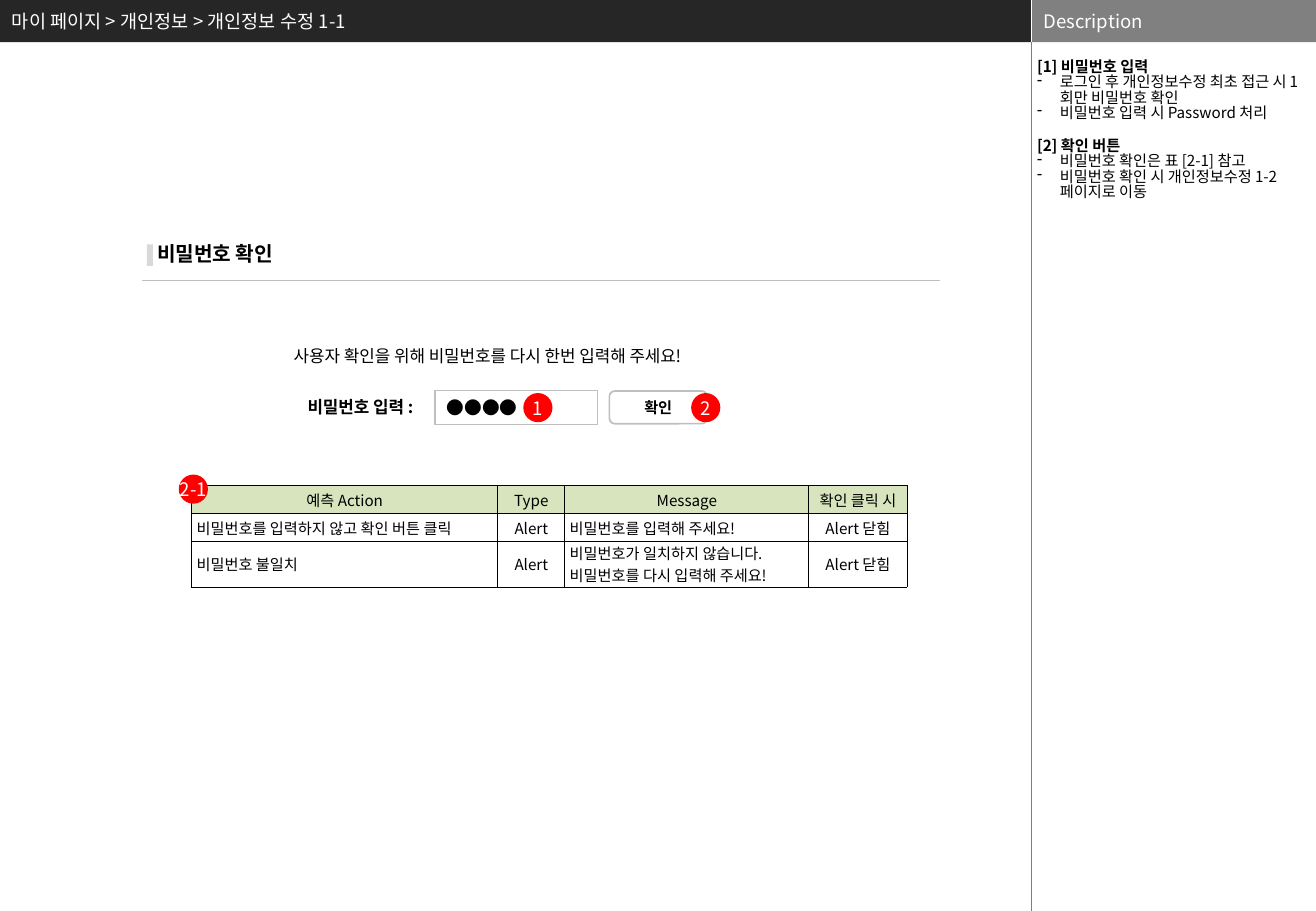
from dataclasses import dataclass

from lxml import etree
from pptx import Presentation
from pptx import util as u
from pptx.dml.color import RGBColor
from pptx.enum import shapes, text
from pptx.oxml.ns import qn

LEFT, CENTER = text.PP_ALIGN.LEFT, text.PP_ALIGN.CENTER
TOP, MIDDLE = text.MSO_ANCHOR.TOP, text.MSO_ANCHOR.MIDDLE
SHAPE = shapes.MSO_SHAPE


@dataclass(frozen=True)
class Theme:
    font: str = "Noto Sans CJK KR"
    ink: str = "000000"
    paper: str = "FFFFFF"
    title_bar: str = "262626"
    panel_bar: str = "808080"
    panel_rule: str = "7F7F7F"
    border: str = "BFBFBF"
    accent: str = "D9D9D9"
    badge: str = "FF0000"
    table_head: str = "D7E4BD"
    small: float = 9
    body: float = 10
    dots: float = 10.5
    bar: float = 11
    heading: float = 12


class Wireframe:
    def __init__(self, slide, theme):
        self.slide, self.theme = slide, theme

    def add_words(self, paragraph, parts, size, color=None, bold=False, align=LEFT):
        """Add each part as a run, with the same font for Latin and Korean."""
        paragraph.alignment = align
        for part in parts:
            run = paragraph.add_run()
            run.text = part
            run.font.color.rgb = RGBColor.from_string(color or self.theme.ink)
            for key, value in {"size": u.Pt(size), "bold": bold, "name": self.theme.font}.items():
                setattr(run.font, key, value)
            east_asian = etree.SubElement(run._r.get_or_add_rPr(), qn("a:ea"))
            east_asian.set("typeface", self.theme.font)

    def frame(self, owner, anchor=MIDDLE, wrap=True, insets=(7.2, 3.6, 7.2, 3.6)):
        left, top, right, bottom = map(u.Pt, insets)
        settings = {"word_wrap": wrap, "vertical_anchor": anchor, "margin_left": left,
                    "margin_top": top, "margin_right": right, "margin_bottom": bottom}
        for key, value in settings.items():
            setattr(owner.text_frame, key, value)
        return owner.text_frame

    def box(self, kind, bounds, fill, border=None, weight=0.75):
        shape = self.slide.shapes.add_shape(kind, *map(u.Pt, bounds))
        shape.shadow.inherit = False
        shape.fill.solid()
        shape.fill.fore_color.rgb = RGBColor.from_string(fill)
        if border:
            shape.line.color.rgb = RGBColor.from_string(border)
            shape.line.width = u.Pt(weight)
        else:
            shape.line.fill.background()
        return shape

    def bar(self, bounds, fill, title):
        bar = self.box(SHAPE.RECTANGLE, bounds, fill)
        self.add_words(self.frame(bar).paragraphs[0], [title], self.theme.bar, self.theme.paper)

    def rule(self, ends, color, weight):
        line = self.slide.shapes.add_connector(shapes.MSO_CONNECTOR.STRAIGHT, *map(u.Pt, ends))
        line.line.color.rgb = RGBColor.from_string(color)
        line.line.width = u.Pt(weight)
        etree.SubElement(line._element.spPr, qn("a:effectLst"))

    def label(self, bounds, words, size, bold=False):
        label = self.slide.shapes.add_textbox(*map(u.Pt, bounds))
        self.add_words(self.frame(label, TOP).paragraphs[0], [words], size, bold=bold)

    def badge(self, left, top, parts):
        badge = self.box(SHAPE.OVAL, (left, top, 17.3, 17.3), self.theme.badge)
        paragraph = self.frame(badge, wrap=False, insets=(0, 0, 0, 0)).paragraphs[0]
        self.add_words(paragraph, parts, self.theme.bar, self.theme.paper, align=CENTER)
        for run in paragraph.runs:
            if run.text == "-":
                run._r.get_or_add_rPr().set("spc", "-150")

    def description(self, bounds, sections):
        panel = self.slide.shapes.add_textbox(*map(u.Pt, bounds))
        body = self.frame(panel, TOP, insets=(2.9, 0, 2.9, 0))
        for number, (heading, notes) in enumerate(sections):
            title = body.add_paragraph() if number else body.paragraphs[0]
            title.line_spacing = 0.83
            if number:
                title.space_before = u.Pt(10.8)
            self.add_words(title, [heading], self.theme.small, bold=True)
            for note in notes:
                item = body.add_paragraph()
                item.line_spacing = 0.83
                properties = item._p.get_or_add_pPr()
                properties.set("marL", str(u.Pt(13.5)))
                properties.set("indent", str(-u.Pt(13.5)))
                etree.SubElement(properties, qn("a:buChar")).set("char", "-")
                self.add_words(item, [note], self.theme.small)

    def cell_borders(self, cell):
        properties = cell._tc.get_or_add_tcPr()
        for position, side in enumerate(("lnL", "lnR", "lnT", "lnB")):
            edge = etree.Element(qn(f"a:{side}"), w=str(u.Pt(0.5)))
            fill = etree.SubElement(edge, qn("a:solidFill"))
            etree.SubElement(fill, qn("a:srgbClr")).set("val", self.theme.ink)
            properties.insert(position, edge)

    def table(self, left, top, widths, heights, rows, aligns):
        """Build a bordered grid; aligns holds the body alignment of each column."""
        bounds = (left, top, sum(widths), sum(heights))
        table = self.slide.shapes.add_table(len(rows), len(widths), *map(u.Pt, bounds)).table
        table.first_row = table.horz_banding = False
        for column, width in zip(table.columns, widths):
            column.width = u.Pt(width)
        for r, (row, height) in enumerate(zip(rows, heights)):
            table.rows[r].height = u.Pt(height)
            for c, words in enumerate(row):
                cell = table.cell(r, c)
                cell.vertical_anchor = MIDDLE
                cell.margin_left = cell.margin_right = u.Pt(2.9)
                cell.margin_top = cell.margin_bottom = 0
                if r == 0:
                    cell.fill.solid()
                    cell.fill.fore_color.rgb = RGBColor.from_string(self.theme.table_head)
                else:
                    cell.fill.background()
                self.cell_borders(cell)
                for n, sentence in enumerate(words.split("\n")):
                    body = cell.text_frame
                    paragraph = body.add_paragraph() if n else body.paragraphs[0]
                    self.add_words(paragraph, [sentence], self.theme.small,
                                   align=aligns[c] if r else CENTER)


def main():
    deck = Presentation()
    deck.slide_width, deck.slide_height = u.Pt(780), u.Pt(540)
    theme = Theme()
    page = Wireframe(deck.slides.add_slide(deck.slide_layouts[6]), theme)

    split, bar_height = 611.3, 25
    page.bar((0, 0, split, bar_height), theme.title_bar,
             "마이 페이지 > 개인정보 > 개인정보 수정 1-1")
    page.bar((split, 0, 780 - split, bar_height), theme.panel_bar, "Description")
    page.rule((split, 0, split, bar_height), theme.paper, 0.25)
    page.rule((split, bar_height, split, 540), theme.panel_rule, 0.25)
    page.description((611.8, 36, 168.2, 504), [
        ("[1] 비밀번호 입력", ["로그인 후 개인정보수정 최초 접근 시 1회만 비밀번호 확인",
                         "비밀번호 입력 시 Password 처리"]),
        ("[2] 확인 버튼", ["비밀번호 확인은 표 [2-1] 참고",
                       "비밀번호 확인 시 개인정보수정 1-2페이지로 이동"]),
    ])

    page.label((86, 139.7, 196, 21.6), "비밀번호 확인", theme.heading, bold=True)
    page.box(SHAPE.RECTANGLE, (87.1, 144.9, 3.6, 12.8), theme.accent)
    page.rule((84.2, 166.3, 557.2, 166.3), theme.border, 0.75)

    page.label((167, 201.6, 274.3, 19.4), "사용자 확인을 위해 비밀번호를 다시 한번 입력해 주세요!", theme.body)
    page.label((175.2, 231.5, 88, 19.4), "비밀번호 입력 :", theme.body, bold=True)
    password = page.box(SHAPE.RECTANGLE, (257.8, 231.5, 96.2, 20.2), theme.paper, theme.border)
    page.add_words(page.frame(password).paragraphs[0], ["●●●●"], theme.dots)
    confirm = page.box(SHAPE.ROUNDED_RECTANGLE, (361.2, 231.8, 57.9, 19.4),
                       theme.paper, theme.border, 1)
    page.add_words(page.frame(confirm).paragraphs[0], ["확인"], theme.small, bold=True, align=CENTER)

    page.table(113.6, 288, (181.4, 39.8, 144.6, 58.2), (16.5, 16.5, 27), [
        ("예측 Action", "Type", "Message", "확인 클릭 시"),
        ("비밀번호를 입력하지 않고 확인 버튼 클릭", "Alert", "비밀번호를 입력해 주세요!", "Alert 닫힘"),
        ("비밀번호 불일치", "Alert",
         "비밀번호가 일치하지 않습니다.\n비밀번호를 다시 입력해 주세요!", "Alert 닫힘"),
    ], (LEFT, CENTER, LEFT, CENTER))

    for left, top, parts in ((310.2, 233, ["1"]), (409.7, 233, ["2"]),
                             (106, 281.3, ["2", "-", "1"])):
        page.badge(left, top, parts)

    deck.save("out.pptx")


if __name__ == "__main__":
    main()
